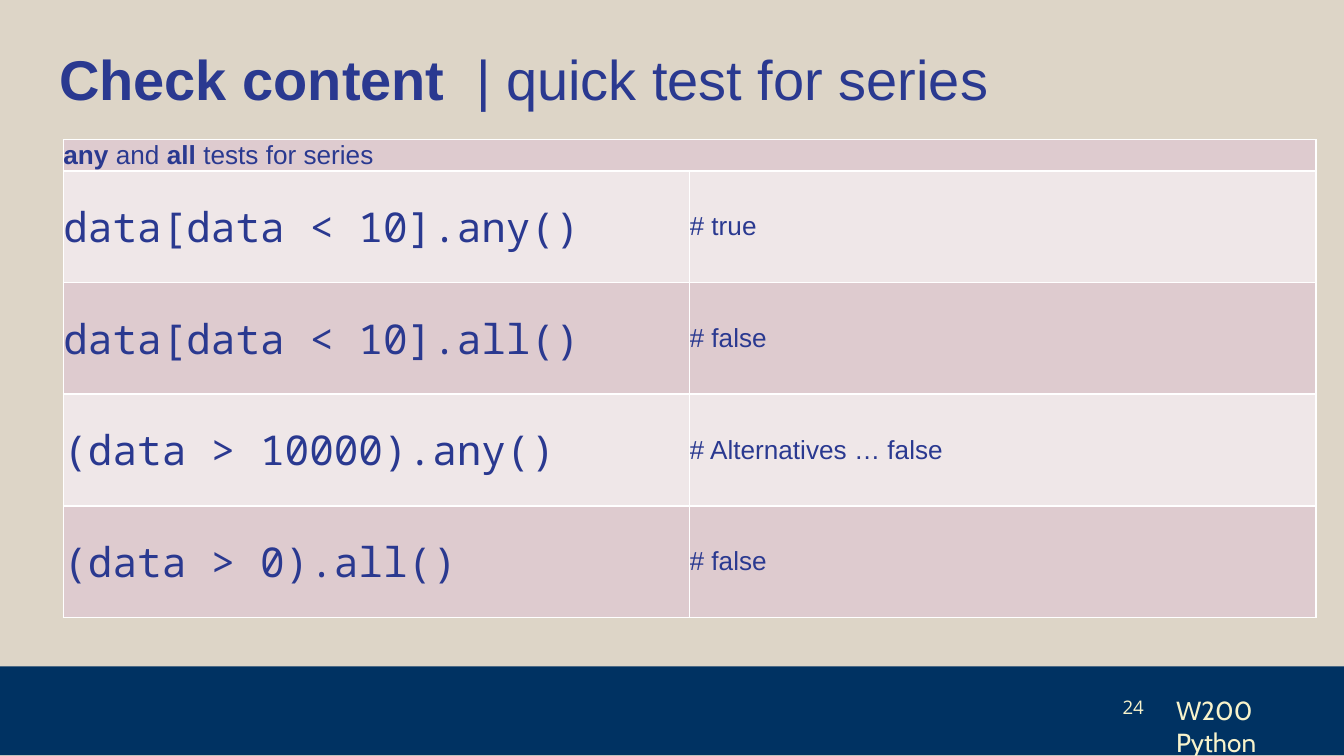
from dataclasses import dataclass

from lxml import etree
from pptx import Presentation
from pptx import util as u
from pptx.dml.color import RGBColor
from pptx.enum import shapes, text
from pptx.oxml import ns

INK = "2A3990"
NAVY = "003262"
CREAM = "F8F3CB"
SAND = "DDD5C7"
WHITE = "FFFFFF"
ROSE = "DECBCF"
PALE_ROSE = "EFE7E8"
CODE_FONT = "Noto Sans Mono"


@dataclass(frozen=True)
class Check:
    code: str
    result: str


@dataclass(frozen=True)
class Label:
    content: str
    left: float
    top: float
    width: float
    height: float
    size: float
    font: str
    inset: float = 0
    wrap: bool = True
    align: text.PP_ALIGN = text.PP_ALIGN.LEFT
    anchor: text.MSO_ANCHOR = text.MSO_ANCHOR.TOP


CHECKS = [
    Check("data[data < 10].any()", "# true"),
    Check("data[data < 10].all()", "# false"),
    Check("(data > 10000).any()", "# Alternatives … false"),
    Check("(data > 0).all()", "# false"),
]

LABELS = [
    Label("W200 Python", 630, 372.2, 78.5, 13.7, 14, "Cabin"),
    Label("24", 593.3, 365, 26.6, 28, 10, "Open Sans", inset=7.2, wrap=False,
          align=text.PP_ALIGN.RIGHT, anchor=text.MSO_ANCHOR.MIDDLE),
]


def paint(target, color: str) -> None:
    target.solid()
    target.fore_color.rgb = RGBColor.from_string(color)


def add_span(para, content: str, *, size: float = 14, font: str = "Arial",
             color: str = INK, bold: bool = False) -> None:
    span = para.add_run()
    span.text = content
    span.font.size = u.Pt(size)
    span.font.name = font
    span.font.bold = bold
    paint(span.font.fill, color)


def set_insets(frame, inset: float) -> None:
    frame.margin_left = frame.margin_right = u.Pt(inset)
    frame.margin_top = frame.margin_bottom = u.Pt(inset)


def add_label(page, label: Label) -> None:
    box = page.shapes.add_textbox(u.Pt(label.left), u.Pt(label.top),
                                  u.Pt(label.width), u.Pt(label.height))
    frame = box.text_frame
    set_insets(frame, label.inset)
    frame.word_wrap = label.wrap
    frame.vertical_anchor = label.anchor
    para = frame.paragraphs[0]
    para.alignment = label.align
    add_span(para, label.content, size=label.size, font=label.font, color=CREAM)


def format_title(page) -> None:
    title = page.shapes.title
    title.left, title.top = u.Pt(24.5), u.Pt(16.6)
    title.width, title.height = u.Pt(671), u.Pt(47.5)
    frame = title.text_frame
    set_insets(frame, 7.2)
    frame.word_wrap = True
    frame.auto_size = text.MSO_AUTO_SIZE.NONE
    frame.vertical_anchor = text.MSO_ANCHOR.TOP
    para = frame.paragraphs[0]
    para.alignment = text.PP_ALIGN.LEFT
    para.line_spacing = 1.0
    add_span(para, "Check content  ", size=30, bold=True)
    add_span(para, "| quick test for series", size=30)


def format_cell(cell, fill: str) -> None:
    set_insets(cell, 0)
    cell.vertical_anchor = text.MSO_ANCHOR.MIDDLE
    properties = cell._tc.get_or_add_tcPr()
    for side in ("a:lnL", "a:lnR", "a:lnT", "a:lnB"):
        line = etree.SubElement(properties, ns.qn(side), w=str(u.Pt(1)))
        solid = etree.SubElement(line, ns.qn("a:solidFill"))
        etree.SubElement(solid, ns.qn("a:srgbClr"), val=WHITE)
    paint(cell.fill, fill)


def add_checks(page, checks: list[Check]) -> None:
    table = page.shapes.add_table(len(checks) + 1, 2, u.Pt(34), u.Pt(74.8),
                                  u.Pt(671), u.Pt(255.6)).table
    table.first_row = table.horz_banding = False
    for index, row in enumerate(table.rows):
        row.height = u.Pt(59.8 if index else 16.4)
        for cell in row.cells:
            format_cell(cell, PALE_ROSE if index % 2 else ROSE)

    heading = table.cell(0, 0)
    heading.merge(table.cell(0, 1))
    para = heading.text_frame.paragraphs[0]
    add_span(para, "any", bold=True)
    add_span(para, " and ")
    add_span(para, "all", bold=True)
    add_span(para, " tests for series")

    for index, check in enumerate(checks, start=1):
        add_span(table.cell(index, 0).text_frame.paragraphs[0], check.code,
                 size=22, font=CODE_FONT)
        add_span(table.cell(index, 1).text_frame.paragraphs[0], check.result)


def add_footer(page) -> None:
    band = page.shapes.add_shape(shapes.MSO_SHAPE.RECTANGLE, 0, u.Pt(357),
                                 u.Pt(720), u.Pt(47.6))
    band.shadow.inherit = False
    paint(band.fill, NAVY)
    band.line.fill.background()
    for label in LABELS:
        add_label(page, label)


def main() -> None:
    deck = Presentation()
    deck.slide_width, deck.slide_height = u.Pt(720), u.Pt(405)
    page = deck.slides.add_slide(deck.slide_layouts.get_by_name("Title Only"))
    paint(page.background.fill, SAND)
    add_footer(page)
    format_title(page)
    add_checks(page, CHECKS)
    deck.save("out.pptx")


if __name__ == "__main__":
    main()
